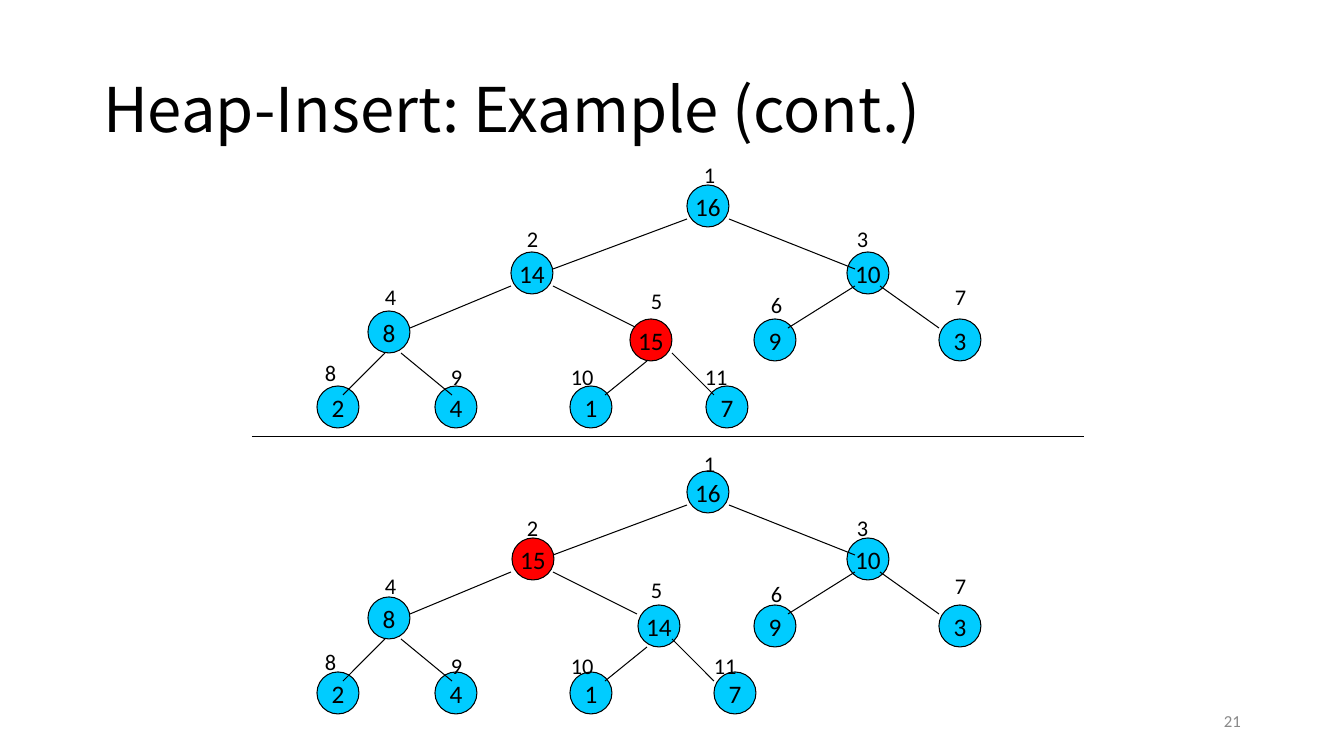
import dataclasses
import typing

import pptx
import pptx.dml.color
import pptx.enum.shapes
import pptx.enum.text
import pptx.oxml
import pptx.oxml.ns
import pptx.util

RGBColor = pptx.dml.color.RGBColor
Align = pptx.enum.text.PP_ALIGN
Anchor = pptx.enum.text.MSO_ANCHOR
AutoSize = pptx.enum.text.MSO_AUTO_SIZE

BLACK = RGBColor(0x00, 0x00, 0x00)
GRAY = RGBColor(0x89, 0x89, 0x89)
CYAN = RGBColor(0x00, 0xCC, 0xFF)
RED = RGBColor(0xFF, 0x00, 0x00)
BODY_FONT = "Calibri"
TITLE_FONT = "Noto Sans CJK SC"
EMU_PER_PIXEL = 914400 / 100.8
NODE_SIZE = 42
LABEL_HEIGHT = 37
LINE_WIDTH = pptx.util.Pt(0.75)


class Point(typing.NamedTuple):
    x: int
    y: int


class Edge(typing.NamedTuple):
    start: Point
    end: Point


@dataclasses.dataclass(frozen=True)
class Heap:
    values: list[int]
    inserted: int
    node_drop: int = 0
    label_drop: int = 0
    node_shifts: dict[int, int] = dataclasses.field(default_factory=dict)
    label_shifts: dict[int, int] = dataclasses.field(default_factory=dict)


NODES = [
    Point(687, 185), Point(511, 252), Point(847, 252), Point(368, 311),
    Point(630, 319), Point(754, 319), Point(939, 319), Point(317, 386),
    Point(435, 386), Point(570, 386), Point(706, 386),
]
LABELS = [
    Point(694, 156), Point(517, 220), Point(847, 220), Point(375, 278),
    Point(641, 282), Point(761, 286), Point(945, 278), Point(315, 354),
    Point(441, 358), Point(561, 358), Point(695, 358),
]
EDGES = [
    Edge(Point(687, 219), Point(553, 269)),
    Edge(Point(729, 219), Point(855, 269)),
    Edge(Point(511, 286), Point(410, 328)),
    Edge(Point(553, 286), Point(637, 328)),
    Edge(Point(855, 286), Point(788, 328)),
    Edge(Point(880, 286), Point(939, 328)),
    Edge(Point(385, 353), Point(343, 395)),
    Edge(Point(401, 353), Point(452, 395)),
    Edge(Point(647, 361), Point(605, 395)),
    Edge(Point(672, 353), Point(714, 395)),
]
HEAPS = [
    Heap([16, 14, 10, 8, 15, 9, 3, 2, 4, 1, 7], inserted=5),
    Heap(
        [16, 15, 10, 8, 14, 9, 3, 2, 4, 1, 7],
        inserted=2,
        node_drop=286,
        label_drop=289,
        node_shifts={2: 1, 5: 8, 11: 8},
        label_shifts={11: 9},
    ),
]


def px(length: float) -> pptx.util.Emu:
    return pptx.util.Emu(round(length * EMU_PER_PIXEL))


def write(shape: typing.Any, text: str, size: int, color: RGBColor = BLACK,
          font: str = BODY_FONT, align: Align = Align.LEFT,
          anchor: Anchor = Anchor.MIDDLE, wrap: bool = False,
          auto_size: AutoSize = AutoSize.NONE) -> typing.Any:
    frame = shape.text_frame
    frame.word_wrap = wrap
    frame.auto_size = auto_size
    frame.vertical_anchor = anchor
    para = frame.paragraphs[0]
    para.alignment = align
    span = para.add_run()
    span.text = text
    span.font.size = pptx.util.Pt(size)
    span.font.name = font
    span.font.color.rgb = color
    return para


def draw_line(shapes: typing.Any, edge: Edge, drop: int = 0) -> None:
    line = shapes.add_connector(
        pptx.enum.shapes.MSO_CONNECTOR.STRAIGHT,
        px(edge.start.x), px(edge.start.y + drop),
        px(edge.end.x), px(edge.end.y + drop),
    )
    line.line.color.rgb = BLACK
    line.line.width = LINE_WIDTH
    line._element.spPr.append(
        pptx.oxml.parse_xml(f"<a:effectLst {pptx.oxml.ns.nsdecls('a')}/>")
    )


def draw_node(shapes: typing.Any, heap: Heap, index: int) -> None:
    place = NODES[index - 1]
    node = shapes.add_shape(
        pptx.enum.shapes.MSO_SHAPE.OVAL,
        px(place.x + heap.node_shifts.get(index, 0)),
        px(place.y + heap.node_drop),
        px(NODE_SIZE), px(NODE_SIZE),
    )
    node.shadow.inherit = False
    node.fill.solid()
    node.fill.fore_color.rgb = RED if index == heap.inserted else CYAN
    node.line.color.rgb = BLACK
    node.line.width = LINE_WIDTH
    write(node, str(heap.values[index - 1]), 18, align=Align.CENTER)


def draw_label(shapes: typing.Any, heap: Heap, index: int) -> None:
    place = LABELS[index - 1]
    box = shapes.add_textbox(
        px(place.x + heap.label_shifts.get(index, 0)),
        px(place.y + heap.label_drop),
        px(32 if index < 10 else 43), px(LABEL_HEIGHT),
    )
    write(box, str(index), 16, anchor=Anchor.TOP,
          auto_size=AutoSize.SHAPE_TO_FIT_TEXT)


def draw_heap(page: typing.Any, heap: Heap) -> None:
    shapes = page.shapes.add_group_shape().shapes
    indexes = range(1, len(heap.values) + 1)
    for index in indexes:
        if index != heap.inserted:
            draw_node(shapes, heap, index)
    for edge in EDGES:
        draw_line(shapes, edge, heap.node_drop)
    for index in indexes:
        draw_label(shapes, heap, index)
    draw_node(shapes, heap, heap.inserted)


deck = pptx.Presentation()
deck.slide_width, deck.slide_height = px(1344), px(756)
page = deck.slides.add_slide(deck.slide_layouts[5])

title = page.shapes.title
title.left, title.top, title.width, title.height = px(93), px(40), px(1159), px(146)
heading = write(title, "Heap-Insert: Example (cont.)", 44, font=TITLE_FONT, wrap=True)
heading.line_spacing = 0.9

number = page.shapes.add_textbox(px(949), px(701), px(302), px(40))
write(number, "21", 12, color=GRAY, align=Align.RIGHT, wrap=True)

draw_line(page.shapes, Edge(Point(252, 437), Point(1084, 437)))
for heap in HEAPS:
    draw_heap(page, heap)

deck.save("out.pptx")
